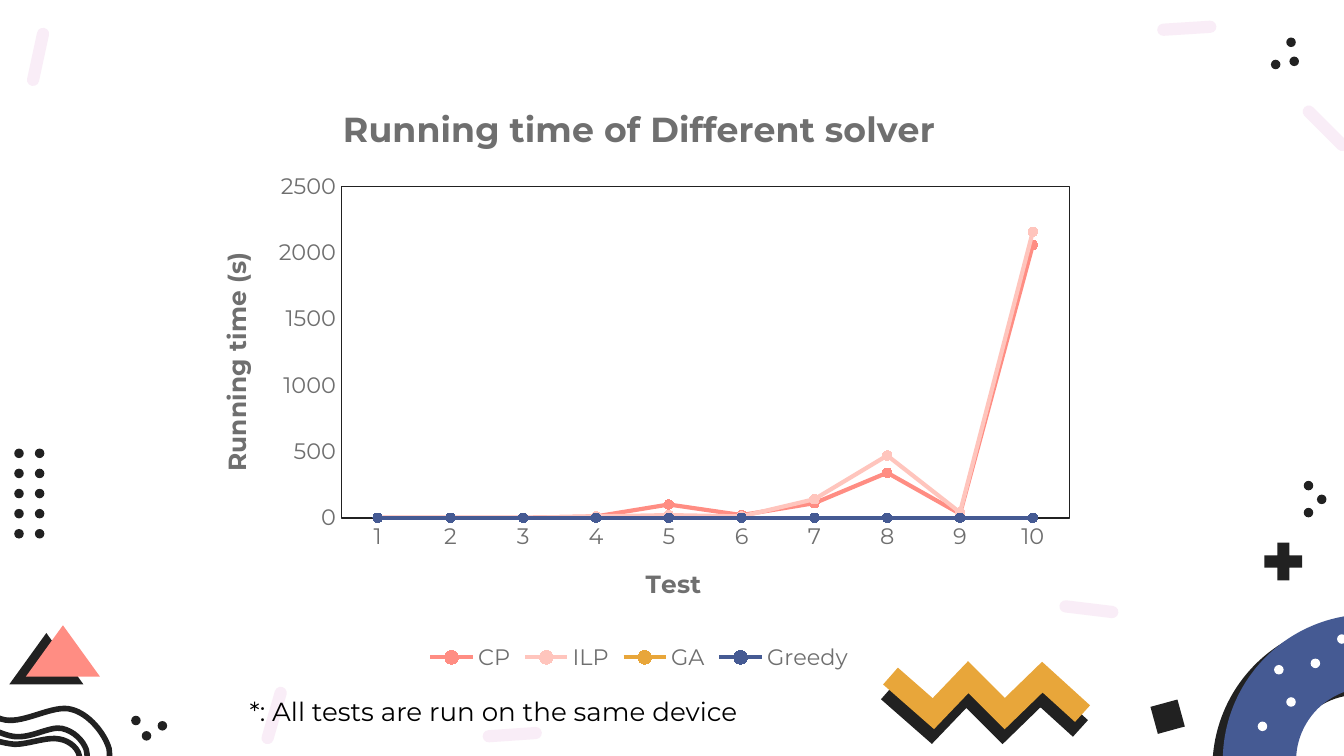
from dataclasses import dataclass

from lxml import etree
from pptx import Presentation
from pptx import util as u
from pptx.chart.data import CategoryChartData
from pptx.dml.color import RGBColor
from pptx.enum import chart as ch, shapes
from pptx.oxml import parse_xml
from pptx.oxml.ns import nsdecls, qn

Shape = shapes.MSO_SHAPE


@dataclass(frozen=True)
class Theme:
    font: str = "Montserrat"
    dark: str = "212121"
    white: str = "FFFFFF"
    coral: str = "FF8D83"
    blush: str = "FFC5BD"
    gold: str = "E8A63A"
    blue: str = "455A93"
    pale: str = "F9EDF7"
    grey: str = "6F6F6F"
    black: str = "000000"
    title: float = 18.6
    axis_title: float = 13.3
    label: float = 12
    note: float = 14


class Deck:
    def __init__(self, theme):
        self.theme = theme
        self.prs = Presentation()
        self.prs.slide_width, self.prs.slide_height = u.Cm(25.4), u.Cm(14.29)
        self.s = self.prs.slides.add_slide(self.prs.slide_layouts[6])

    def shape(self, kind, x, y, w, h, color, rot=0, shadow=None):
        sp = self.s.shapes.add_shape(kind, u.Cm(x), u.Cm(y), u.Cm(w), u.Cm(h))
        sp.fill.solid()
        sp.fill.fore_color.rgb = RGBColor.from_string(color)
        sp.line.fill.background()
        sp.shadow.inherit = False
        sp.rotation = rot
        if shadow:
            dist, angle = shadow
            effects = sp._element.spPr.find(qn("a:effectLst"))
            effects.append(parse_xml(
                f'<a:outerShdw {nsdecls("a")} blurRad="0" dist="{u.Pt(dist)}" '
                f'dir="{angle * 60000}" algn="bl" rotWithShape="0">'
                f'<a:srgbClr val="{self.theme.dark}"/></a:outerShdw>'))
        return sp

    def dots(self, places, color):
        for x, y in places:
            self.shape(Shape.OVAL, x, y, 0.18, 0.18, color)

    def outline(self, points, color, width, close=False):
        pts = [(u.Cm(x), u.Cm(y)) for x, y in points]
        fb = self.s.shapes.build_freeform(*pts[0])
        fb.add_line_segments(pts[1:], close=close)
        sp = fb.convert_to_shape()
        sp.fill.background()
        sp.line.color.rgb = RGBColor.from_string(color)
        sp.line.width = u.Pt(width)
        sp.shadow.inherit = False
        etree.SubElement(sp.line._ln, qn("a:miter"), lim="800000")
        return sp

    def curve(self, points, color, width):
        """Closed outline whose points after the first are cubic triples."""
        sp = self.outline(points, color, width, close=True)
        lines = list(sp._element.iter(qn("a:lnTo")))
        for i in range(0, len(lines), 3):
            cubic = etree.Element(qn("a:cubicBezTo"))
            lines[i].addprevious(cubic)
            for line in lines[i:i + 3]:
                cubic.append(line[0])
                line.getparent().remove(line)

    def text(self, x, y, w, h, words):
        tf = self.s.shapes.add_textbox(u.Cm(x), u.Cm(y), u.Cm(w), u.Cm(h)).text_frame
        tf.word_wrap = True
        tf.text = words
        self.style(tf.paragraphs[0].runs[0].font, self.theme.note, self.theme.black)

    def style(self, font, size, color, bold=False):
        font.name, font.size, font.bold = self.theme.font, u.Pt(size), bold
        font.color.rgb = RGBColor.from_string(color)

    def place(self, element, index, inner=False, **where):
        """Fix a chart part, given in cm from the chart's corner."""
        for old in element.findall(qn("c:layout")):
            element.remove(old)
        layout = parse_xml(f'<c:layout {nsdecls("c")}><c:manualLayout/></c:layout>')
        values = {"layoutTarget": "inner"} if inner else {}
        values |= {"xMode": "edge", "yMode": "edge"}
        values |= {k: cm / self.chart_size[k in "yh"] for k, cm in where.items()}
        for tag, val in values.items():
            etree.SubElement(layout[0], qn(f"c:{tag}"), val=str(val))
        element.insert(index, layout)

    def chart_title(self, title, words, size, x, y):
        tf = title.text_frame
        tf.text = words
        self.style(tf.paragraphs[0].runs[0].font, size, self.theme.grey, True)
        self.place(title._element, 1, x=x, y=y)
        return tf

    def line_chart(self, x, y, w, h, cats, series):
        th = self.theme
        self.chart_size = w, h
        data = CategoryChartData()
        data.categories = cats
        for name, _, vals in series:
            data.add_series(name, vals)
        chart = self.s.shapes.add_chart(
            ch.XL_CHART_TYPE.LINE_MARKERS, u.Cm(x), u.Cm(y), u.Cm(w), u.Cm(h), data).chart
        self.style(chart.font, th.label, th.grey)
        chart.plots[0].vary_by_categories = False
        for ser, (_, color, _) in zip(chart.plots[0].series, series):
            rgb = RGBColor.from_string(color)
            ser.smooth = False
            ser.format.line.color.rgb = rgb
            ser.format.line.width = u.Pt(2.25)
            ser.marker.style, ser.marker.size = ch.XL_MARKER_STYLE.CIRCLE, 5
            ser.marker.format.fill.solid()
            ser.marker.format.fill.fore_color.rgb = rgb
            ser.marker.format.line.color.rgb = rgb

        # Axes
        cat, val = chart.category_axis, chart.value_axis
        for axis in (cat, val):
            axis.has_major_gridlines = False
            axis.major_tick_mark = axis.minor_tick_mark = ch.XL_TICK_MARK.NONE
            self.style(axis.tick_labels.font, th.label, th.grey)
        cat.format.line.color.rgb = RGBColor.from_string(th.dark)
        cat.format.line.width = u.Pt(0.75)
        val.format.line.fill.background()
        val.minimum_scale, val.maximum_scale, val.major_unit = 0, 2500, 500

        # Titles, legend and framed plot area
        self.chart_title(chart.chart_title, "Running time of Different solver", th.title, 2.75, 0.36)
        self.chart_title(cat.axis_title, "Test", th.axis_title, 8.51, 9.12)
        tf = self.chart_title(val.axis_title, "Running time (s)", th.axis_title, 0.45, 3.18)
        tf._txBody.bodyPr.set("rot", "-5400000")
        tf._txBody.bodyPr.set("vert", "horz")
        chart.has_legend = True
        chart.legend.position = ch.XL_LEGEND_POSITION.BOTTOM
        chart.legend.include_in_layout = False
        self.style(chart.legend.font, th.label, th.grey)
        plot = chart._chartSpace.chart.plotArea
        self.place(plot, 0, inner=True, x=2.84, y=2.03, w=13.76, h=6.26)
        plot.append(parse_xml(
            f'<c:spPr {nsdecls("c", "a")}><a:noFill/><a:ln w="{u.Pt(0.75)}"><a:solidFill>'
            f'<a:srgbClr val="{th.dark}"/></a:solidFill></a:ln></c:spPr>'))


# Start point, then two control points and an end point per curve
WAVES = [
    [(.69, 15.54),
     (1.09, 15.47), (1.5, 15.32), (1.73, 15.09), (1.96, 14.86), (2.11, 14.43), (2.06, 14.15),
     (1.98, 13.87), (1.68, 13.49), (1.35, 13.41), (1.02, 13.31), (.48, 13.67), (.1, 13.61),
     (-.28, 13.54), (-.66, 13.11), (-.97, 13.03), (-1.3, 12.95), (-1.6, 13), (-1.83, 13.18),
     (-2.03, 13.36), (-2.24, 13.77), (-2.24, 14.1), (-2.24, 14.4), (-2.08, 14.83), (-1.83, 15.09),
     (-1.57, 15.34), (-1.14, 15.52), (-.71, 15.6), (-.3, 15.65), (.28, 15.62), (.69, 15.54)],
    [(.71, 15.24),
     (1.02, 15.19), (1.32, 15.04), (1.47, 14.86), (1.63, 14.68), (1.68, 14.38), (1.63, 14.17),
     (1.57, 14), (1.4, 13.82), (1.17, 13.77), (.94, 13.72), (.58, 13.97), (.25, 13.92),
     (-.08, 13.87), (-.53, 13.56), (-.81, 13.51), (-1.09, 13.44), (-1.3, 13.44), (-1.45, 13.54),
     (-1.6, 13.67), (-1.73, 13.94), (-1.73, 14.17), (-1.7, 14.4), (-1.63, 14.68), (-1.4, 14.86),
     (-1.19, 15.04), (-.81, 15.19), (-.46, 15.24), (-.1, 15.29), (.38, 15.29), (.71, 15.24)],
    [(-.2, 15.14),
     (.15, 15.16), (.81, 15.11), (1.09, 14.96), (1.37, 14.83), (1.5, 14.53), (1.5, 14.35),
     (1.52, 14.17), (1.32, 14), (1.12, 13.97), (.91, 13.92), (.53, 14.07), (.28, 14.07),
     (.05, 14.05), (-.18, 13.97), (-.38, 13.92), (-.61, 13.87), (-.86, 13.72), (-1.04, 13.72),
     (-1.22, 13.72), (-1.35, 13.82), (-1.42, 13.94), (-1.5, 14.05), (-1.55, 14.27), (-1.5, 14.43),
     (-1.45, 14.58), (-1.3, 14.76), (-1.09, 14.86), (-.86, 14.99), (-.56, 15.11), (-.2, 15.14)],
]
RING_DOTS = [(23.77, 13.64), (24.31, 13.18), (24.08, 12.57), (24.77, 12.45), (25.27, 11.99)]
DOT_TRIOS = [(24.64, 9.6), (24.64, 9.09), (24.89, 9.35), (2.48, 13.53), (2.98, 13.63),
             (2.68, 13.82), (24.02, 1.13), (24.31, .71), (24.37, 1.07)]
DOT_GRID = [(x, 8.48 + .38 * row) for x in (.27, .66) for row in range(5)]
CONFETTI = [(4.62, 13.41, 106.1), (9.12, 13.77, 176.1), (20.02, 11.4, 6.9),
            (24.49, 2.31, 45), (.16, .96, 282.2), (21.87, .42, 356.4)]
ZIGZAG = [(20.42, 13.77), (19.66, 13.08), (18.95, 13.77), (18.26, 13.08), (17.6, 13.77), (16.79, 13.06)]


def main():
    th = Theme()
    deck = Deck(th)

    # Corner decorations
    deck.shape(Shape.DONUT, 23.11, 11.61, 5.54, 5.54, th.blue, shadow=(6.8, 145))
    deck.dots(RING_DOTS, th.white)
    for wave in WAVES:
        deck.curve(wave, th.dark, 3)
    deck.shape(Shape.ISOSCELES_TRIANGLE, .49, 11.82, 1.4, .97, th.coral, shadow=(9.8, 155))
    deck.shape(Shape.MATH_PLUS, 23.77, 10.13, .97, .97, th.dark)
    deck.shape(Shape.RECTANGLE, 21.8, 13.28, .53, .53, th.dark, rot=164.7)
    deck.dots(DOT_TRIOS + DOT_GRID, th.dark)
    for x, y, rot in CONFETTI:
        deck.shape(Shape.ROUNDED_RECTANGLE, x, y, 1.12, .23, th.pale, rot).adjustments[0] = .5
    deck.outline(ZIGZAG, th.dark, 12)
    deck.outline([(x + .04, y - .28) for x, y in ZIGZAG], th.gold, 12)

    # Running times
    deck.line_chart(3.61, 1.5, 16.94, 11.28, [str(n) for n in range(1, 11)], [
        ("CP", th.coral, [0, 0, 0, 10, 100, 20, 110, 340, 30, 2060]),
        ("ILP", th.blush, [0, 0, 0, 10, 20, 10, 140, 470, 40, 2160]),
        ("GA", th.gold, [0] * 10),
        ("Greedy", th.blue, [0] * 10),
    ])
    deck.text(4.47, 13.02, 11.33, .86, "*: All tests are run on the same device")
    deck.prs.save("out.pptx")


if __name__ == "__main__":
    main()
